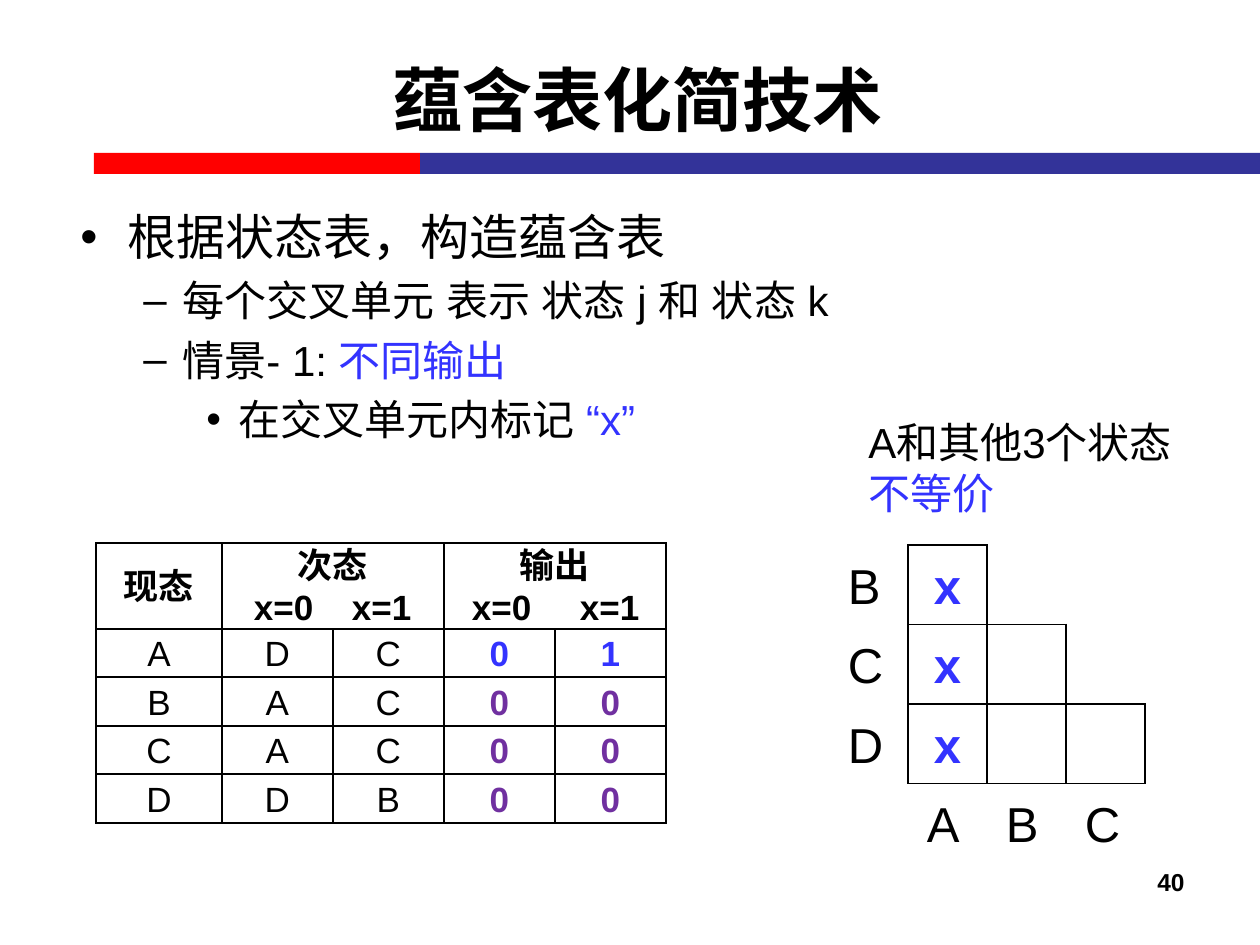
from lxml.etree import SubElement
from pptx import Presentation
from pptx.dml.color import RGBColor
from pptx.enum.lang import MSO_LANGUAGE_ID as LANGUAGE
from pptx.enum.shapes import MSO_SHAPE as SHAPE
from pptx.enum.text import MSO_ANCHOR as ANCHOR, PP_ALIGN as ALIGN
from pptx.oxml.ns import qn
from pptx.util import Emu, Pt

PX = 914400 // 126
BLACK = RGBColor(0x00, 0x00, 0x00)
WHITE = RGBColor(0xFF, 0xFF, 0xFF)
RED = RGBColor(0xFF, 0x00, 0x00)
NAVY = RGBColor(0x33, 0x33, 0x99)
BLUE = RGBColor(0x33, 0x33, 0xFF)
PURPLE = RGBColor(0x70, 0x30, 0xA0)
MARGINS = ("margin_left", "margin_top", "margin_right", "margin_bottom")


def write(paragraph, runs, size, align=ALIGN.LEFT, bold=False, typeface="Arial"):
    """Fill a paragraph with (text, colour) runs at a fixed line pitch."""
    paragraph.alignment = align
    paragraph.line_spacing = Pt(round(size * 1.21))
    for text, color in runs:
        run = paragraph.add_run()
        run.text = text
        run.font.color.rgb = color
        values = {"size": Pt(size), "bold": bold, "name": typeface,
                  "language_id": LANGUAGE.SIMPLIFIED_CHINESE}
        for name, value in values.items():
            setattr(run.font, name, value)
        SubElement(run.font._element, qn("a:ea"), typeface=typeface)


def set_borders(cell, drawn):
    """Draw the sides named in drawn (from L, R, T, B) and clear the others."""
    properties = cell._tc.get_or_add_tcPr()
    for side in "LRTB":
        line = SubElement(properties, qn(f"a:ln{side}"), w=str(Pt(1)))
        if side in drawn:
            fill = SubElement(line, qn("a:solidFill"))
            SubElement(fill, qn("a:srgbClr"), val=str(BLACK))
        else:
            SubElement(line, qn("a:noFill"))


presentation = Presentation()
presentation.slide_width = Emu(1260 * PX)
presentation.slide_height = Emu(945 * PX)
slide = presentation.slides.add_slide(presentation.slide_layouts[5])
shapes = slide.shapes

# Title and the two-colour rule under it
title = shapes.title
title_values = {"left": 63, "top": 19, "width": 1134, "height": 158}
for name, value in title_values.items():
    setattr(title, name, Emu(value * PX))
title.text_frame.margin_left = Emu(28 * PX)
title.text_frame.vertical_anchor = ANCHOR.MIDDLE
write(title.text_frame.paragraphs[0], [("蕴含表化简技术", BLACK)], 40,
      ALIGN.CENTER, True, "Noto Sans CJK SC")

for left, width, color in ((94, 326, RED), (420, 840, NAVY)):
    bar = shapes.add_shape(SHAPE.RECTANGLE, left * PX, 153 * PX, width * PX, 21 * PX)
    bar.shadow.inherit = False
    bar.fill.solid()
    bar.fill.fore_color.rgb = color
    bar.line.fill.background()

# Bulleted text: left margin, hanging indent, bullet, size, runs
bullets = [
    (47, 47, "•", 28, [("根据状态表，构造蕴含表", BLACK)]),
    (102, 39, "–", 24, [("每个交叉单元 表示 状态 j 和 状态 k", BLACK)]),
    (102, 39, "–", 24, [("情景- 1: ", BLACK), ("不同输出", BLUE)]),
    (158, 32, "•", 24, [("在交叉单元内标记 ", BLACK), ("“x”", BLUE)]),
]
body = shapes.add_textbox(68 * PX, 200 * PX, 1166 * PX, 291 * PX).text_frame
body.word_wrap = True
for index, (margin, hanging, mark, size, runs) in enumerate(bullets):
    paragraph = body.add_paragraph() if index else body.paragraphs[0]
    properties = paragraph._p.get_or_add_pPr()
    properties.set("marL", str(margin * PX))
    properties.set("indent", str(-hanging * PX))
    SubElement(properties, qn("a:buFont"), typeface="Arial")
    SubElement(properties, qn("a:buChar"), char=mark)
    if index:
        paragraph.level = 2 if margin > 102 else 1
        paragraph.space_before = Pt(5)
    write(paragraph, runs, size)

# Remark above the implication chart, and the page number
note = shapes.add_textbox(856 * PX, 410 * PX, 341 * PX, 115 * PX).text_frame
note.word_wrap = True
write(note.paragraphs[0], [("A和其他3个状态", BLACK), ("不等价", BLUE)], 24)

page_number = shapes.add_textbox(903 * PX, 861 * PX, 294 * PX, 66 * PX).text_frame
page_number.word_wrap = True
write(page_number.paragraphs[0], [("40", BLACK)], 14, ALIGN.RIGHT, True)

# State table
states = ["ADC01", "BAC00", "CAC00", "DDB00"]
state_table = shapes.add_table(5, 5, 96 * PX, 543 * PX, 570 * PX, 280 * PX).table
state_table.first_row = state_table.horz_banding = False
for column, width in zip(state_table.columns, (126, 111, 111, 111, 111)):
    column.width = Emu(width * PX)
for row, height in zip(state_table.rows, (86, 48, 49, 48, 49)):
    row.height = Emu(height * PX)
for cell in state_table.iter_cells():
    set_borders(cell, "LRTB")
    cell.fill.solid()
    cell.fill.fore_color.rgb = WHITE
    cell.vertical_anchor = ANCHOR.MIDDLE
    for name in MARGINS:
        setattr(cell, name, 0)

write(state_table.cell(0, 0).text_frame.paragraphs[0], [("现态", BLACK)], 20,
      ALIGN.CENTER, True)
for column, heading, stops in ((1, "次态", (32, 130)), (3, "输出", (28, 136))):
    cell = state_table.cell(0, column)
    cell.merge(state_table.cell(0, column + 1))
    write(cell.text_frame.paragraphs[0], [(heading, BLACK)], 20, ALIGN.CENTER, True)
    inputs = cell.text_frame.add_paragraph()
    tabs = SubElement(inputs._p.get_or_add_pPr(), qn("a:tabLst"))
    for stop in stops:
        SubElement(tabs, qn("a:tab"), pos=str(stop * PX), algn="l")
    write(inputs, [("\tx=0\tx=1", BLACK)], 20, bold=True)

for row, state in enumerate(states, 1):
    for column, text in enumerate(state):
        is_output = column > 2
        output_color = BLUE if row == 1 else PURPLE
        write(state_table.cell(row, column).text_frame.paragraphs[0],
              [(text, output_color if is_output else BLACK)], 20,
              ALIGN.CENTER, is_output)

# Implication chart: a staircase of cells with state names beside and below
STEP = 79
chart_rows = [["B", "x", "", ""], ["C", "x", "", ""], ["D", "x", "", ""],
              ["", "A", "B", "C"]]
staircase = {(row, column) for row in range(3) for column in range(1, row + 2)}
implication = shapes.add_table(4, 4, 829 * PX, 545 * PX, 4 * STEP * PX, 4 * STEP * PX).table
implication.first_row = implication.horz_banding = False
for line in range(4):
    implication.columns[line].width = Emu(STEP * PX)
    implication.rows[line].height = Emu(STEP * PX)
for row, texts in enumerate(chart_rows):
    for column, text in enumerate(texts):
        cell = implication.cell(row, column)
        neighbours = {"L": (row, column - 1), "R": (row, column + 1),
                      "T": (row - 1, column), "B": (row + 1, column)}
        set_borders(cell, [side for side, place in neighbours.items()
                           if staircase & {(row, column), place}])
        cell.fill.background()
        for name, margin in zip(MARGINS, (19, 10, 19, 10)):
            setattr(cell, name, Emu(margin * PX))
        if text:
            is_mark = text == "x"
            write(cell.text_frame.paragraphs[0], [(text, BLUE if is_mark else BLACK)],
                  28, ALIGN.CENTER if is_mark else ALIGN.LEFT, is_mark)

presentation.save("out.pptx")
